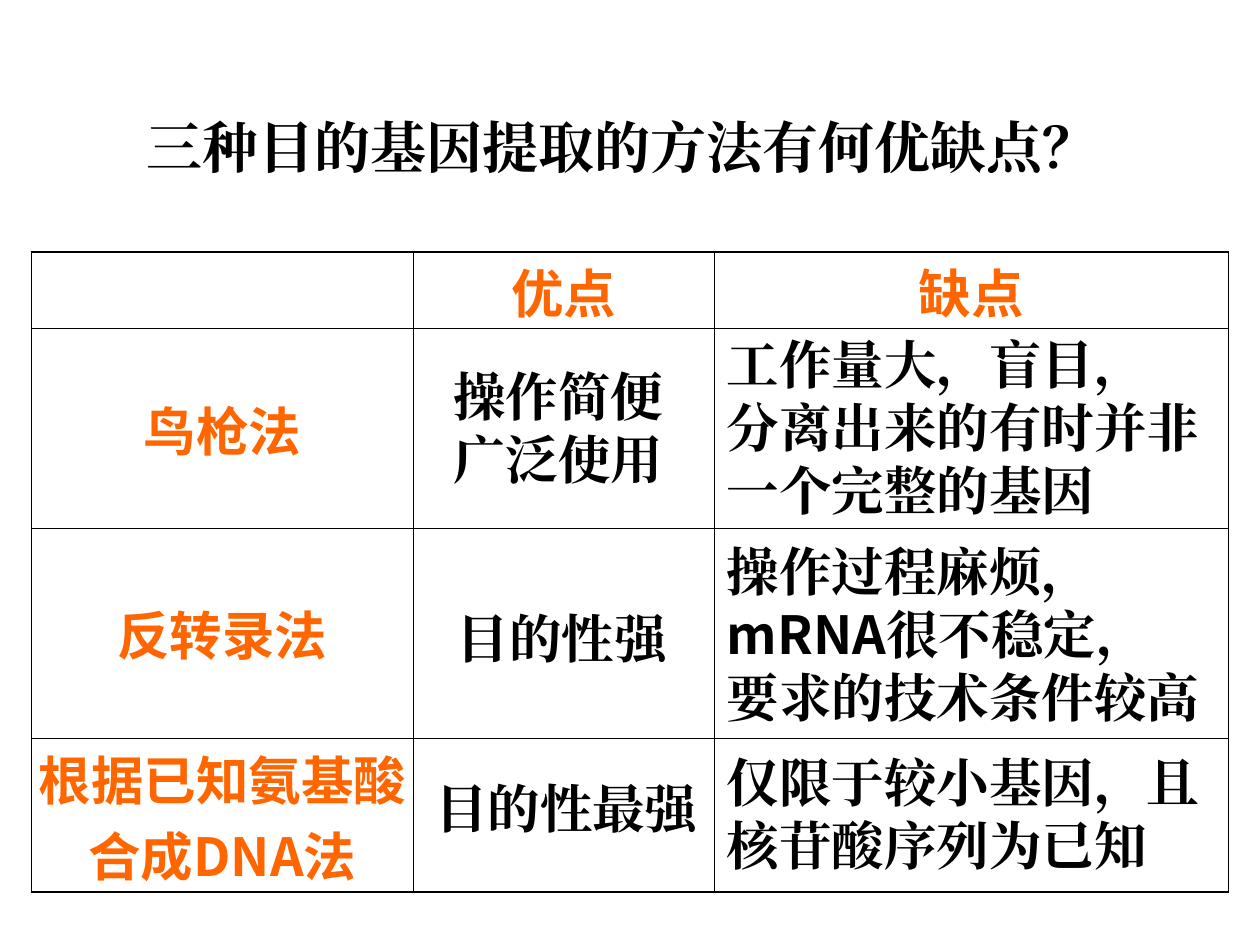
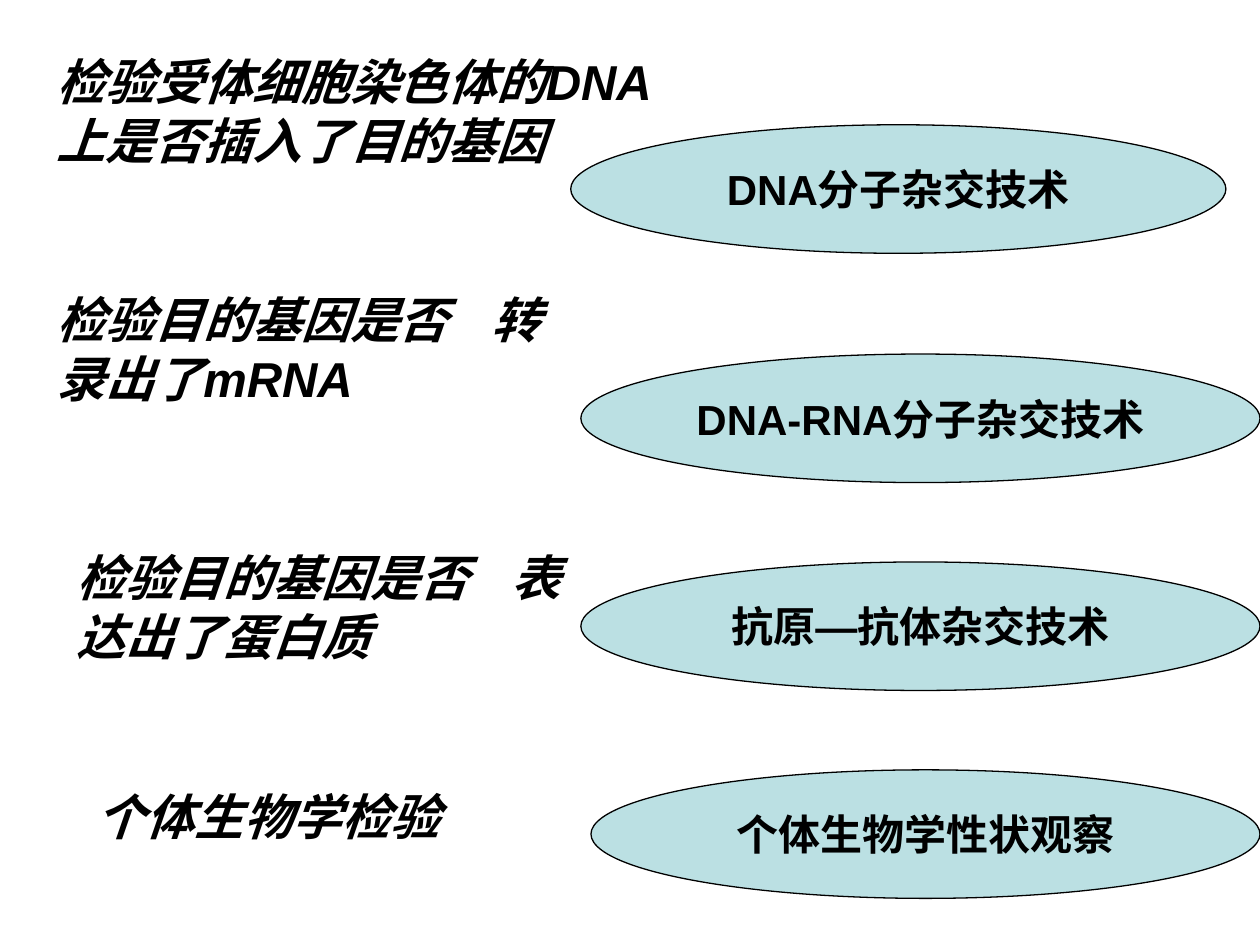
"""Build two slides comparing gene extraction methods and gene detection tests."""
from pptx import Presentation
from pptx import util as u
from pptx.dml.color import RGBColor
from pptx.enum import shapes, text as txt
from pptx.oxml import parse_xml
from pptx.oxml.ns import nsdecls

BLACK = RGBColor(0, 0, 0)
ORANGE = RGBColor(0xFF, 0x66, 0x00)
PALE_TEAL = RGBColor(0xBB, 0xE0, 0xE3)
SERIF, SANS = "Times New Roman", "Arial"
HAN, MRNA_FACE = "Noto Sans CJK SC", "Noto Sans CJK KR"
CENTER, LEFT = txt.PP_ALIGN.CENTER, txt.PP_ALIGN.LEFT
MIDDLE, TOP = txt.MSO_ANCHOR.MIDDLE, txt.MSO_ANCHOR.TOP

COLUMNS = (3.03, 2.39, 4.08)
ROWS = (0.61, 1.58, 1.67, 1.22)
ADVANTAGES, DRAWBACKS = "优点", "缺点"
METHODS = ("鸟枪法", "反转录法", "根据已知氨基酸合成DNA法")
COMMENTS = (
    ((3.25, 0.84, 2, 1.1), "操作简便广泛使用", LEFT),
    ((5.42, 0.59, 4.08, 1.6), "工作量大，盲目，\n分离出来的有时并非一个完整的基因", LEFT),
    ((3.17, 2.76, 2.08, 0.6), "目的性强", CENTER),
    ((5.42, 2.23, 4.08, 1.6), "操作过程麻烦，\nmRNA很不稳定，\n要求的技术条件较高", LEFT),
    ((3.08, 4.11, 2.33, 0.6), "目的性最强", CENTER),
    ((5.42, 3.9, 4, 1.1), "仅限于较小基因，且核苷酸序列为已知", LEFT),
)
TESTS = (
    ((0.35, 0.36, 5.28, 1.04), "检验受体细胞染色体的DNA上是否插入了目的基因",
     (4.53, 0.99, 5.2, 1.02), "DNA分子杂交技术"),
    ((0.35, 2.25, 4.09, 1.04), "检验目的基因是否\t转录出了mRNA",
     (4.61, 2.81, 5.39, 1.02), "DNA-RNA分子杂交技术"),
    ((0.51, 4.3, 4.09, 1.04), "检验目的基因是否\t表达出了蛋白质",
     (4.61, 4.46, 5.39, 1.02), "抗原—抗体杂交技术"),
    ((0.67, 6.19, 2.99, 0.57), "个体生物学检验",
     (4.69, 6.11, 5.31, 1.02), "个体生物学性状观察"),
)


def inches(box):
    """Convert the numbers of a box to lengths."""
    return [u.Inches(number) for number in box]


def write(frame, text, size, face, color=BLACK, italic=False, align=LEFT,
          anchor=TOP, wrap=True, pitch=None, tab=None, special=None):
    """Fill a frame with one formatted paragraph; special maps a word to its font."""
    frame.word_wrap = wrap
    frame.vertical_anchor = anchor
    paragraph = frame.paragraphs[0]
    paragraph.alignment = align
    paragraph.space_before = u.Pt(0)
    if pitch:
        paragraph.line_spacing = u.Pt(pitch)
    if tab:
        paragraph._p.get_or_add_pPr().append(parse_xml(
            f'<a:tabLst {nsdecls("a")}><a:tab pos="{u.Inches(tab)}" algn="l"/></a:tabLst>'))
    word, word_face = special or (None, face)
    for number, line in enumerate(text.split("\n")):
        if number:
            paragraph.add_line_break()
        pieces = [(line, face)]
        if word and line.startswith(word):
            pieces = [(word, word_face), (line[len(word):], face)]
        for piece, piece_face in pieces:
            run = paragraph.add_run()
            run.text = piece
            run.font.size = u.Pt(size)
            run.font.bold = True
            run.font.italic = italic
            run.font.color.rgb = color
            run.font.name = piece_face
            run._r.get_or_add_rPr().append(parse_xml(
                f'<a:ea {nsdecls("a")} typeface="{piece_face}"/>'))


def add_text(slide, box, text, **style):
    """Add a text box holding one paragraph."""
    write(slide.shapes.add_textbox(*inches(box)).text_frame, text, **style)


def border_cell(cell, row, column):
    """Draw thick lines on the rim of the table and thin ones inside it."""
    rims = {"L": column == 0, "R": column == len(COLUMNS) - 1,
            "T": row == 0, "B": row == len(ROWS) - 1}
    properties = cell._tc.get_or_add_tcPr()
    for position, (side, rim) in enumerate(rims.items()):
        width = u.Pt(1.08 if rim else 0.45)
        properties.insert(position, parse_xml(
            f'<a:ln{side} {nsdecls("a")} w="{width}"><a:solidFill>'
            f'<a:srgbClr val="{BLACK}"/></a:solidFill></a:ln{side}>'))


def add_method_table(slide, left, top):
    """Draw the comparison grid, its headings and the comments laid over it."""
    grid = slide.shapes.add_table(
        len(ROWS), len(COLUMNS), *inches((left, top, sum(COLUMNS), sum(ROWS)))).table
    grid.first_row = grid.horz_banding = False
    for column, width in zip(grid.columns, COLUMNS):
        column.width = u.Inches(width)
    headings = {(0, 1): ADVANTAGES, (0, 2): DRAWBACKS}
    headings.update({(row, 0): method for row, method in enumerate(METHODS, 1)})
    for row, height in enumerate(ROWS):
        grid.rows[row].height = u.Inches(height)
        for column in range(len(COLUMNS)):
            cell = grid.cell(row, column)
            cell.fill.background()
            border_cell(cell, row, column)
            cell.margin_left = cell.margin_right = u.Inches(0.04)
            cell.margin_top = cell.margin_bottom = 0
            cell.vertical_anchor = MIDDLE
            if (row, column) in headings:
                write(cell.text_frame, headings[row, column], size=30, face=HAN,
                      color=ORANGE, align=CENTER, anchor=MIDDLE)
    for (x, y, width, height), comment, align in COMMENTS:
        add_text(slide, (left + x, top + y, width, height), comment, size=30, face=SERIF,
                 align=align, pitch=36, special=("mRNA", MRNA_FACE))


def add_technique(slide, box, technique):
    """Draw an ellipse naming the technique of a test."""
    ellipse = slide.shapes.add_shape(shapes.MSO_SHAPE.OVAL, *inches(box))
    ellipse.shadow.inherit = False
    ellipse.fill.solid()
    ellipse.fill.fore_color.rgb = PALE_TEAL
    ellipse.line.color.rgb = BLACK
    ellipse.line.width = u.Pt(0.75)
    write(ellipse.text_frame, technique, size=24, face=SANS, align=CENTER,
          anchor=MIDDLE, wrap=False)


def build_methods(deck):
    """Build the slide comparing the three extraction methods."""
    slide = deck.slides.add_slide(deck.slide_layouts[5])
    title = slide.shapes.title
    title.left, title.top, title.width, title.height = inches((1.06, 0.84, 7.79, 0.67))
    title.text_frame.auto_size = txt.MSO_AUTO_SIZE.NONE
    write(title.text_frame, "三种目的基因提取的方法有何优缺点？", size=32, face=SERIF)
    add_method_table(slide, 0.25, 2)


def build_tests(deck):
    """Build the slide pairing each test with its technique."""
    slide = deck.slides.add_slide(deck.slide_layouts[6])
    for purpose_box, purpose, technique_box, technique in TESTS:
        add_text(slide, purpose_box, purpose, size=28, face=SANS, italic=True,
                 pitch=33.6, tab=3.45)
        add_technique(slide, technique_box, technique)


def main():
    """Create and save the presentation."""
    deck = Presentation()
    deck.slide_width, deck.slide_height = inches((10, 7.5))
    build_methods(deck)
    build_tests(deck)
    deck.save("out.pptx")


if __name__ == "__main__":
    main()
